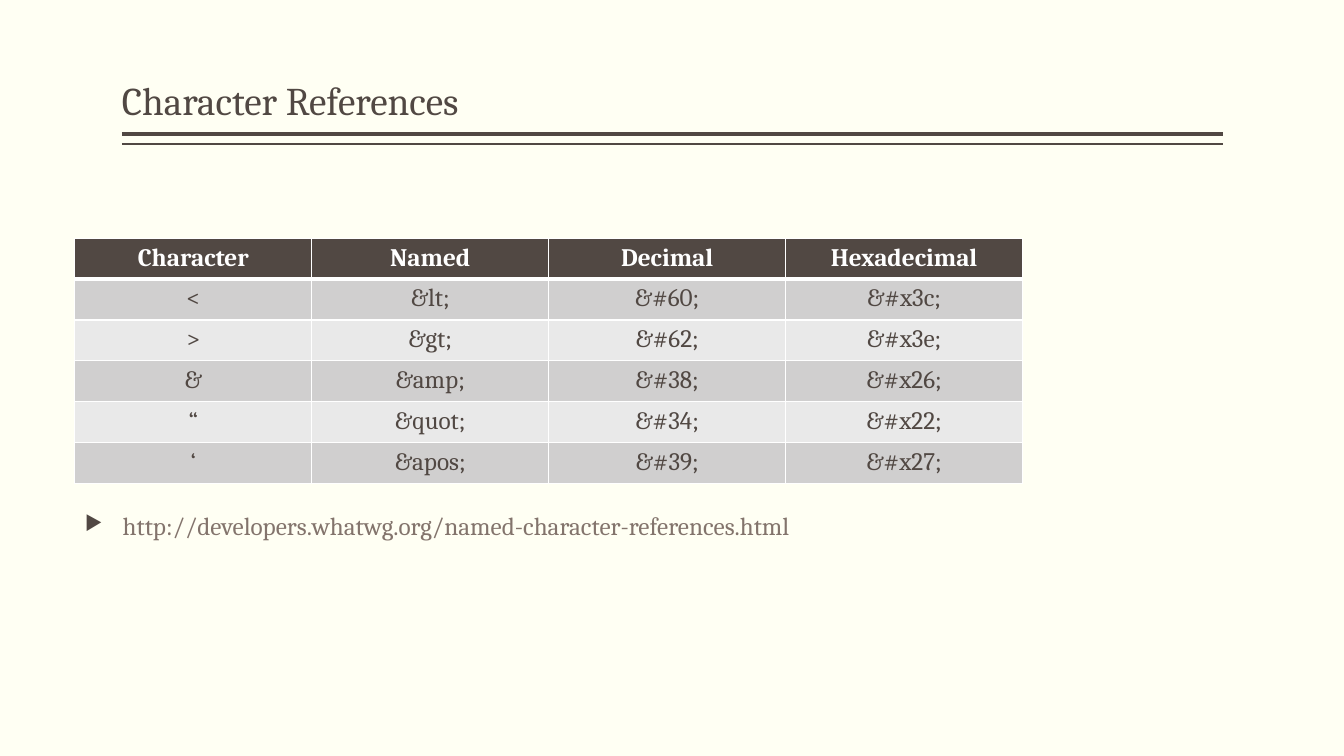
from dataclasses import dataclass

from lxml.etree import SubElement
from pptx import Presentation
from pptx.dml.color import RGBColor as Rgb
from pptx.enum.shapes import MSO_CONNECTOR as Connector
from pptx.enum.text import MSO_ANCHOR as Anchor, MSO_AUTO_SIZE as AutoSize, PP_ALIGN as Align
from pptx.oxml.ns import qn
from pptx.util import Pt


@dataclass(frozen=True)
class Theme:
    font: str = "Cambria"
    background: str = "FFFFF3"
    dark: str = "514843"
    link: str = "83746C"
    white: str = "FFFFFF"
    bands: tuple[str, str] = ("D0CFCF", "E9E9E9")
    title_size: float = 28
    body_size: float = 18


@dataclass(frozen=True)
class Rule:
    top: float
    weight: float


@dataclass(frozen=True)
class Reference:
    character: str
    named: str
    decimal: str
    hexadecimal: str

    def texts(self) -> tuple[str, ...]:
        return self.character, self.named, self.decimal, self.hexadecimal


THEME = Theme()
RULES = (Rule(95.8, 3), Rule(103, 1))
RULE_LEFT, RULE_RIGHT = 87.1, 873.4
TABLE_LEFT, TABLE_TOP, TABLE_WIDTH, ROW_HEIGHT = 53.5, 170.2, 677, 29.2
HEADER = Reference("Character", "Named", "Decimal", "Hexadecimal")
REFERENCES = (
    Reference("<", "&lt;", "&#60;", "&#x3c;"),
    Reference(">", "&gt;", "&#62;", "&#x3e;"),
    Reference("&", "&amp;", "&#38;", "&#x26;"),
    Reference("“", "&quot;", "&#34;", "&#x22;"),
    Reference("‘", "&apos;", "&#39;", "&#x27;"),
)
URL = "http://developers.whatwg.org/named-character-references.html"


def style_text(para, size: float, color: str, bold: bool = False) -> None:
    for span in para.runs:
        span.font.name = THEME.font
        span.font.size = Pt(size)
        span.font.bold = bold
        span.font.color.rgb = Rgb.from_string(color)


def add_title(page, text: str) -> None:
    title = page.shapes.title
    title.left, title.top, title.width, title.height = Pt(87.1), Pt(5.8), Pt(786.3), Pt(86.4)
    frame = title.text_frame
    frame.text = text
    frame.auto_size = AutoSize.NONE
    frame.word_wrap = True
    frame.vertical_anchor = Anchor.BOTTOM
    frame.margin_left = frame.margin_right = 0
    frame.margin_top = frame.margin_bottom = Pt(3.6)
    para = frame.paragraphs[0]
    para.alignment = Align.LEFT
    para.line_spacing = 0.9
    style_text(para, THEME.title_size, THEME.dark)


def add_rule(page, rule: Rule) -> None:
    line = page.shapes.add_connector(
        Connector.STRAIGHT, Pt(RULE_LEFT), Pt(rule.top), Pt(RULE_RIGHT), Pt(rule.top)
    )
    line.line.color.rgb = Rgb.from_string(THEME.dark)
    line.line.width = Pt(rule.weight)
    SubElement(line._element.spPr, qn("a:effectLst"))


def add_borders(cell, top: float, bottom: float) -> None:
    properties = cell._tc.get_or_add_tcPr()
    weights = {"a:lnL": 1, "a:lnR": 1, "a:lnT": top, "a:lnB": bottom}
    for position, (tag, weight) in enumerate(weights.items()):
        border = SubElement(properties, qn(tag), w=str(Pt(weight)))
        fill = SubElement(border, qn("a:solidFill"))
        SubElement(fill, qn("a:srgbClr"), val=THEME.white)
        properties.insert(position, border)


def add_reference_table(page) -> None:
    rows = (HEADER, *REFERENCES)
    columns = len(HEADER.texts())
    table = page.shapes.add_table(
        len(rows), columns, Pt(TABLE_LEFT), Pt(TABLE_TOP),
        Pt(TABLE_WIDTH), Pt(ROW_HEIGHT * len(rows)),
    ).table
    for row_index, reference in enumerate(rows):
        is_header = row_index == 0
        fill = THEME.dark if is_header else THEME.bands[(row_index - 1) % 2]
        color = THEME.white if is_header else THEME.dark
        for column_index, text in enumerate(reference.texts()):
            cell = table.cell(row_index, column_index)
            cell.text_frame.text = text
            cell.fill.solid()
            cell.fill.fore_color.rgb = Rgb.from_string(fill)
            para = cell.text_frame.paragraphs[0]
            para.alignment = Align.CENTER
            style_text(para, THEME.body_size, color, is_header)
            add_borders(cell, 3 if row_index == 1 else 1, 3 if is_header else 1)


def add_link_bullet(page, text: str) -> None:
    box = page.shapes.add_textbox(Pt(TABLE_LEFT), Pt(361), Pt(TABLE_WIDTH), Pt(30))
    frame = box.text_frame
    frame.word_wrap = True
    frame.text = text
    para = frame.paragraphs[0]
    properties = para._p.get_or_add_pPr()
    properties.set("marL", str(Pt(27)))
    properties.set("indent", str(Pt(-27)))
    bullet_color = SubElement(properties, qn("a:buClr"))
    SubElement(bullet_color, qn("a:srgbClr"), val=THEME.dark)
    SubElement(properties, qn("a:buSzPct"), val="80000")
    SubElement(properties, qn("a:buChar"), char="▶")
    style_text(para, THEME.body_size, THEME.link)


def main() -> None:
    deck = Presentation()
    deck.slide_width, deck.slide_height = Pt(960), Pt(540)
    page = deck.slides.add_slide(deck.slide_layouts[5])
    page.background.fill.solid()
    page.background.fill.fore_color.rgb = Rgb.from_string(THEME.background)
    for rule in RULES:
        add_rule(page, rule)
    add_title(page, "Character References")
    add_reference_table(page)
    add_link_bullet(page, URL)
    deck.save("out.pptx")


if __name__ == "__main__":
    main()
